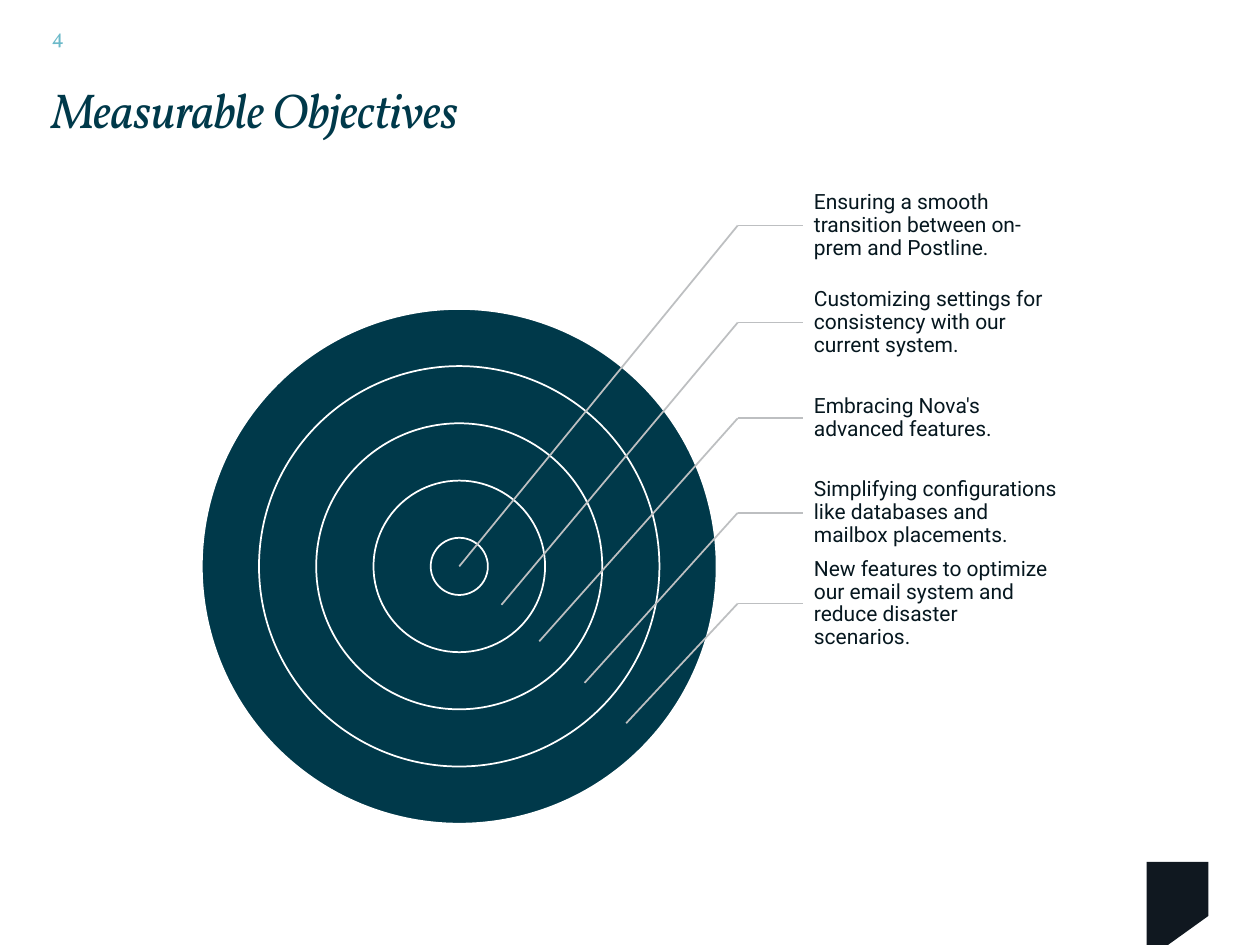
from pptx import Presentation
from pptx.dml.color import RGBColor
from pptx.enum.shapes import MSO_CONNECTOR, MSO_SHAPE
from pptx.enum.text import MSO_ANCHOR
from pptx.oxml.ns import qn
from pptx.util import Inches, Pt
from lxml.etree import SubElement

# Grid of square cells, 100 columns by 75 rows
COLUMNS, ROWS = 100, 75
CELL = Inches(0.1)

NAVY = RGBColor(0x00, 0x39, 0x4A)
AQUA = RGBColor(0x6B, 0xB9, 0xC9)
INK = RGBColor(0x06, 0x17, 0x1F)
BLACK = RGBColor(0x10, 0x18, 0x20)
GREY = RGBColor(0xBD, 0xBF, 0xC1)
WHITE = RGBColor(0xFF, 0xFF, 0xFF)

SERIF, SANS = "Vollkorn", "Roboto"

# Target: center and radius of the bullseye; each ring adds two radii
CENTER = (36.45, 44.95)
BULLSEYE_RADIUS = 2.27
RING_COUNT = 5

# Callouts: elbow and label columns, label size
ELBOW, LABEL_LEFT = 58.55, 63.7
LABEL_WIDTH, LABEL_HEIGHT = 20.4, 7.2

# Wording, row of the callout, point on the target
OBJECTIVES = [
    ("Ensuring a smooth transition between on-prem and Postline.", 17.9, CENTER),
    ("Customizing settings for consistency with our current system.", 25.6, (39.8, 48)),
    ("Embracing Nova's advanced features.", 33.2, (42.8, 50.9)),
    ("Simplifying configurations like databases and mailbox placements.", 40.7, (46.4, 54.2)),
    ("New features to optimize our email system and reduce disaster scenarios.", 47.9, (49.7, 57.4)),
]


def cells(*counts):
    return [round(count * CELL) for count in counts]


def add_text(page, place, text, font, size, color, insets=(0, 0, 0, 0),
             anchor=MSO_ANCHOR.TOP, wrap=True, line_spacing=None):
    box = page.shapes.add_textbox(*cells(*place))
    frame = box.text_frame
    frame.text = text
    frame.word_wrap = wrap
    frame.vertical_anchor = anchor
    (frame.margin_left, frame.margin_top,
     frame.margin_right, frame.margin_bottom) = cells(*insets)
    para = frame.paragraphs[0]
    para.line_spacing = line_spacing
    span = para.runs[0]
    span.font.name = font
    span.font.size = Pt(size)
    span.font.color.rgb = color
    return span


def add_title(page, text):
    span = add_text(page, (4.1, 7, 36.7, 4.1), text, SERIF, 28, NAVY,
                    wrap=False, line_spacing=0.86)
    span.font.italic = True
    span.font._element.set("spc", "-30")


def add_ring(page, radius):
    left, top = (middle - radius for middle in CENTER)
    ring = page.shapes.add_shape(
        MSO_SHAPE.OVAL, *cells(left, top, 2 * radius, 2 * radius))
    ring.shadow.inherit = False
    ring.fill.solid()
    ring.fill.fore_color.rgb = NAVY
    ring.line.color.rgb = WHITE
    ring.line.width = Pt(1)


def add_line(page, start, end):
    line = page.shapes.add_connector(
        MSO_CONNECTOR.STRAIGHT, *cells(*start, *end))
    line.line.color.rgb = GREY
    line.line.width = Pt(1)
    SubElement(line._element.spPr, qn("a:effectLst"))


def add_callout(page, text, row, target):
    add_text(page, (LABEL_LEFT, row - LABEL_HEIGHT / 2, LABEL_WIDTH, LABEL_HEIGHT),
             text, SANS, 12, INK, insets=(0.9, 0.2, 0.2, 0.2),
             anchor=MSO_ANCHOR.MIDDLE, line_spacing=0.9)
    add_line(page, (ELBOW, row), (LABEL_LEFT, row))
    add_line(page, (ELBOW, row), target)


def add_corner_flag(page):
    builder = page.shapes.build_freeform(*cells(95.9, 72.7))
    corners = [(95.9, 68.4), (91, 68.4), (91, ROWS), (92.7, ROWS)]
    builder.add_line_segments([cells(*corner) for corner in corners], close=True)
    flag = builder.convert_to_shape()
    flag.shadow.inherit = False
    flag.fill.solid()
    flag.fill.fore_color.rgb = BLACK
    flag.line.fill.background()


def main():
    deck = Presentation()
    deck.slide_width, deck.slide_height = cells(COLUMNS, ROWS)
    page = deck.slides.add_slide(deck.slide_layouts[6])

    # Page number, corner flag and title
    add_text(page, (3.4, 0.9, 6, 4), "4", SERIF, 12, AQUA,
             insets=(0.7, 0.4, 0.7, 0.4), anchor=MSO_ANCHOR.MIDDLE)
    add_corner_flag(page)
    add_title(page, "Measurable Objectives")

    # Target, from the outer ring to the bullseye
    for step in reversed(range(RING_COUNT)):
        add_ring(page, BULLSEYE_RADIUS * (2 * step + 1))

    # Callouts
    for text, row, target in OBJECTIVES:
        add_callout(page, text, row, target)

    deck.save("out.pptx")


if __name__ == "__main__":
    main()
